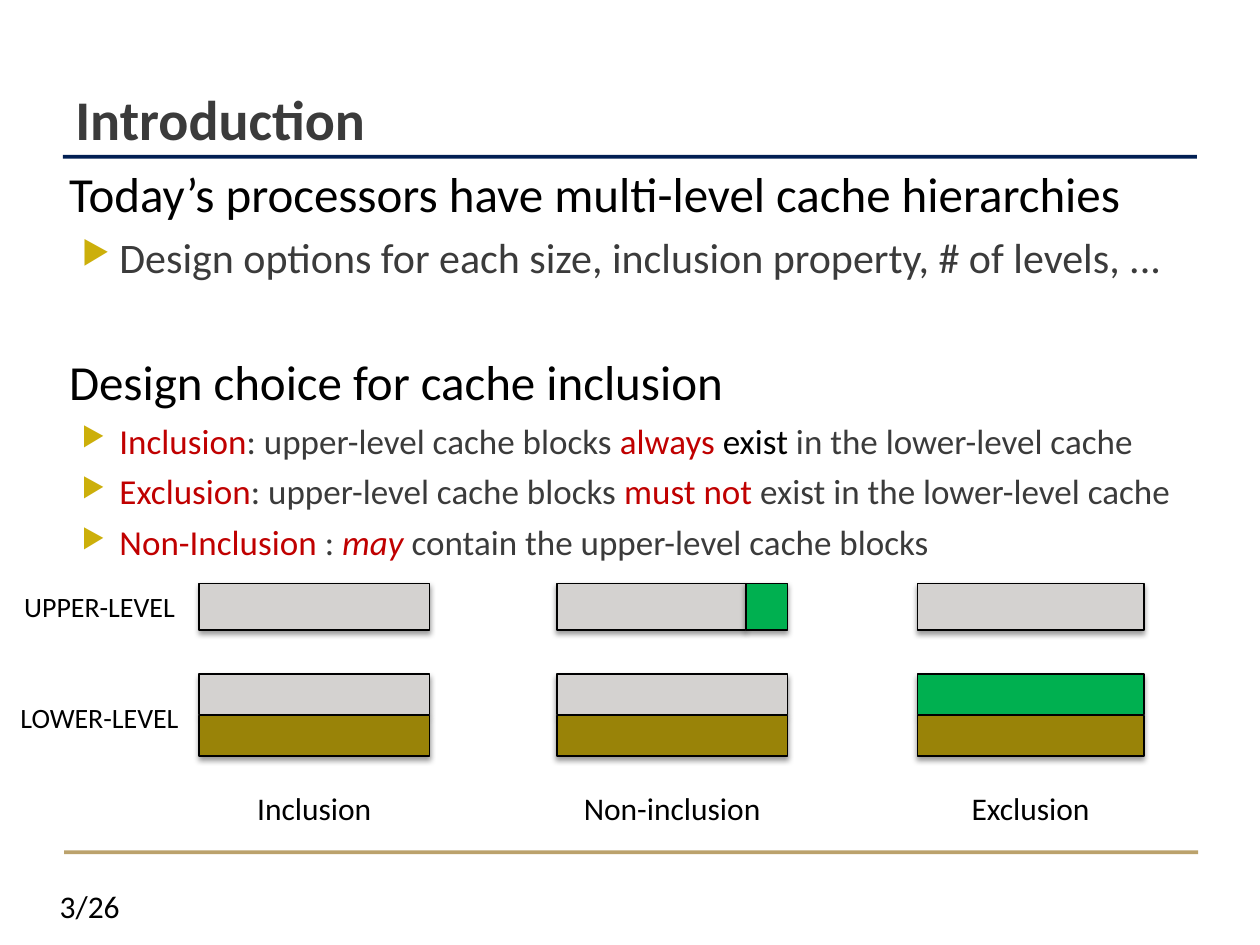
import pptx
import pptx.util
import pptx.dml.color
import pptx.enum.shapes
import pptx.enum.text
import pptx.oxml
import pptx.oxml.ns
from lxml import etree

Inches, Pt = pptx.util.Inches, pptx.util.Pt
RGB = pptx.dml.color.RGBColor.from_string
ALIGN = pptx.enum.text.PP_ALIGN
ANCHOR = pptx.enum.text.MSO_ANCHOR

COLORS = {
    "black": "000000", "gray": "3B3B3B", "red": "C00000", "bullet": "CCAF0A",
    "navy": "011F53", "tan": "BBA26C",
    "shared": "D4D2D0", "lower": "998308", "exclusive": "00B050",
}
SHADOW = (
    f'<a:outerShdw {pptx.oxml.ns.nsdecls("a")} blurRad="38100" dist="25400" dir="5400000" '
    'rotWithShape="0"><a:srgbClr val="000000"><a:alpha val="40000"/></a:srgbClr></a:outerShdw>'
)

deck = pptx.Presentation()
deck.slide_width, deck.slide_height = Inches(10), Inches(7.5)
page = deck.slides.add_slide(deck.slide_layouts[6])


def add_text(text, at, size=18, color="black", bold=False, align=ALIGN.LEFT,
             anchor=ANCHOR.TOP, margins=True, frame=None, before=0, left=0, bullet=False):
    """Write one paragraph in a new box, or at the end of frame if one is given.

    text is a string, or a list of (string, color, italic) spans.
    """
    if frame is None:
        frame = page.shapes.add_textbox(*map(Inches, at)).text_frame
        frame.word_wrap = True
        frame.vertical_anchor = anchor
        if not margins:
            frame.margin_left = frame.margin_right = frame.margin_top = frame.margin_bottom = 0
        para = frame.paragraphs[0]
    else:
        para = frame.add_paragraph()
    para.alignment = align
    para.space_before = Pt(before)
    properties = para._p.get_or_add_pPr()
    properties.set("marL", str(Inches(left)))
    properties.set("indent", str(Inches(-0.3 if bullet else 0)))
    if bullet:
        bullet_color = etree.SubElement(properties, pptx.oxml.ns.qn("a:buClr"))
        etree.SubElement(bullet_color, pptx.oxml.ns.qn("a:srgbClr"), val=COLORS["bullet"])
        etree.SubElement(properties, pptx.oxml.ns.qn("a:buSzPct"), val="76000")
        etree.SubElement(properties, pptx.oxml.ns.qn("a:buChar"), char="▶")
    for words, span_color, italic in [(text, color, False)] if isinstance(text, str) else text:
        span = para.add_run()
        span.text = words
        span.font.name = "Calibri"
        span.font.size = Pt(size)
        span.font.bold = bold
        span.font.italic = italic
        span.font.color.rgb = RGB(COLORS[span_color])
    return frame


def add_block(left, top, width, height, color, outlined=True):
    """Add a filled rectangle; an outlined one also casts a shadow."""
    block = page.shapes.add_shape(pptx.enum.shapes.MSO_SHAPE.RECTANGLE,
                                  *map(Inches, (left, top, width, height)))
    block.fill.solid()
    block.fill.fore_color.rgb = RGB(COLORS[color])
    block.shadow.inherit = False
    if outlined:
        block.line.color.rgb = RGB(COLORS["black"])
        block.line.width = Pt(0.75)
        effects = block._element.spPr.find(pptx.oxml.ns.qn("a:effectLst"))
        effects.append(pptx.oxml.parse_xml(SHADOW))
    else:
        block.line.fill.background()


# Title, rules and page number
add_block(0.5, 1.23, 9, 0.03, "navy", outlined=False)
add_block(0.51, 6.75, 9, 0.03, "tan", outlined=False)
add_text("3/26", (0.23, 7.04, 0.72, 0.3), align=ALIGN.RIGHT, anchor=ANCHOR.MIDDLE, margins=False)
add_text("Introduction", (0.5, 0.17, 9, 1.08), size=32, color="gray", bold=True,
         anchor=ANCHOR.BOTTOM)

# Body
body_at = (0.25, 1.25, 9.5, 3.35)
body = add_text("Today’s processors have multi-level cache hierarchies", body_at,
                size=28, before=6, left=0.2)
add_text("Design options for each size, inclusion property, # of levels, ...", body_at,
         frame=body, size=24, color="gray", before=5, left=0.6, bullet=True)
add_text("Design choice for cache inclusion", body_at, frame=body, size=28, before=40, left=0.2)
definitions = [
    [("Inclusion", "red", False), (": upper-level cache blocks ", "gray", False),
     ("always ", "red", False), ("exist ", "black", False),
     ("in the lower-level cache", "gray", False)],
    [("Exclusion", "red", False), (": upper-level cache blocks ", "gray", False),
     ("must not ", "red", False), ("exist in the lower-level cache", "gray", False)],
    [("Non-Inclusion", "red", False), (" : ", "gray", False), ("may ", "red", True),
     ("contain the upper-level cache blocks", "gray", False)],
]
for definition in definitions:
    add_text(definition, body_at, frame=body, size=20, before=5, left=0.6, bullet=True)

# Cache diagrams: name, left, width, width of the exclusive upper part, color of shared lower part
caches = [
    ("Inclusion", 1.58, 1.83, 0, "shared"),
    ("Non-inclusion", 4.42, 1.83, 0.33, "shared"),
    ("Exclusion", 7.28, 1.8, 0, "exclusive"),
]
for name, left, width, exclusive, lower_color in caches:
    add_block(left, 5.35, width, 0.32, lower_color)
    add_block(left, 5.68, width, 0.32, "lower")
    add_block(left, 4.63, width - exclusive, 0.37, "shared")
    if exclusive:
        add_block(left + width - exclusive, 4.63, exclusive, 0.37, "exclusive")
    add_text(name, (left, 6.21, width, 0.4), align=ALIGN.CENTER)

for level, top in [("UPPER-LEVEL", 4.63), ("LOWER-LEVEL", 5.51)]:
    add_text(level, (0, top, 1.58, 0.37), size=16, align=ALIGN.CENTER)

deck.save("out.pptx")
